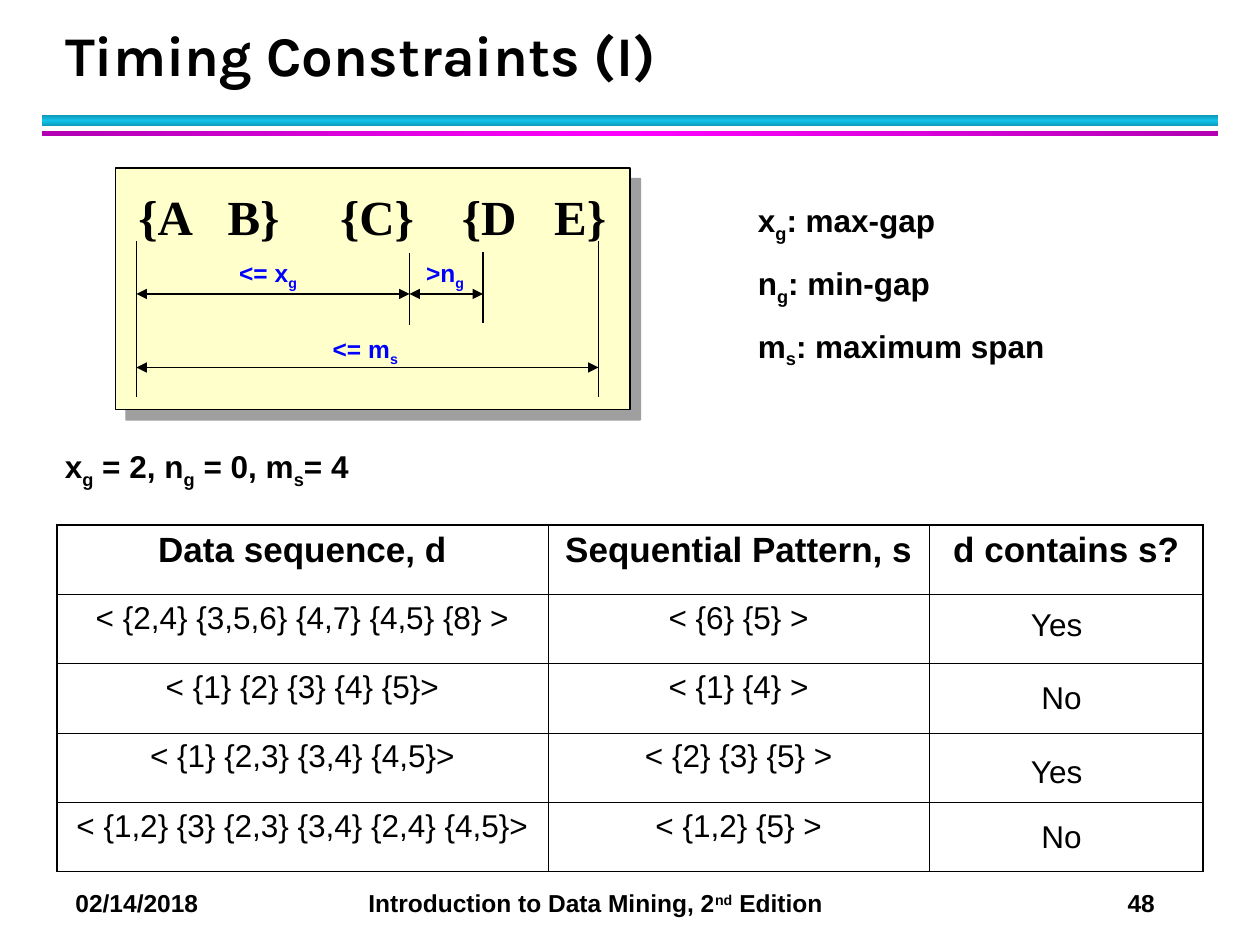
import copy
from dataclasses import dataclass

import lxml.etree
import pptx
import pptx.dml.color
import pptx.enum.dml
import pptx.enum.shapes
import pptx.enum.text
import pptx.oxml
import pptx.oxml.ns
import pptx.util

qn = pptx.oxml.ns.qn
RGBColor = pptx.dml.color.RGBColor
Alignment = pptx.enum.text.PP_ALIGN

BLACK = RGBColor(0, 0, 0)
BLUE = RGBColor(0, 0, 255)
CREAM = RGBColor(255, 255, 204)
CYAN_DARK, CYAN = RGBColor(0x0E, 0x9B, 0xBA), RGBColor(0x12, 0xC2, 0xE9)
MAGENTA_DARK, MAGENTA = RGBColor(0xB2, 0, 0xB2), RGBColor(255, 0, 255)

GRID_COLUMNS, GRID_ROWS = 120, 90
SHADOW = (
    f'<a:effectLst {pptx.oxml.ns.nsdecls("a")}>'
    '<a:outerShdw dist="107950" dir="2700000" algn="ctr" rotWithShape="0">'
    '<a:srgbClr val="808080"><a:alpha val="75000"/></a:srgbClr>'
    "</a:outerShdw></a:effectLst>"
)


@dataclass
class Area:
    """Place on the slide grid."""
    left: float
    top: float
    width: float
    height: float

    def lengths(self) -> list:
        return [grid(n) for n in (self.left, self.top, self.width, self.height)]


@dataclass
class Style:
    size: float = 18
    bold: bool = True
    color: RGBColor = BLACK
    font: str = "Arial"
    space_after: float = 0
    align: Alignment = Alignment.LEFT


@dataclass
class Label:
    """Text in which every second part between bars is shifted off the baseline."""
    area: Area
    lines: list
    style: Style
    tabs: tuple = ()
    shift: int = -25
    wrap: bool = True
    fill: RGBColor | None = None


@dataclass
class Line:
    start: tuple
    end: tuple
    arrows: bool = False


DIMENSION = Style(size=14, color=BLUE)
NOTE = Style(space_after=11.2)
ANSWER = Style(bold=False)

LABELS = [
    Label(Area(12, 17.2, 47.2, 6.8), ["{A\tB}\t{C}\t{D\tE}"],
          Style(size=28, font="Times New Roman"),
          tabs=(8.5, 19.2, 30.8, 39.6), fill=CREAM),
    Label(Area(30.5, 31.2, 8.6, 4.4), ["<= m|s"], DIMENSION, wrap=False, fill=CREAM),
    Label(Area(21.6, 24, 7.9, 4.4), ["<= x|g"], DIMENSION, wrap=False, fill=CREAM),
    Label(Area(39.4, 24, 6, 4.4), [">n|g"], DIMENSION, wrap=False, fill=CREAM),
    Label(Area(71, 18.6, 41, 18),
          ["x|g|: max-gap", "n|g|: min-gap", "m|s|: maximum span"], NOTE),
    Label(Area(5, 42, 103, 5.3), ["x|g| = 2, n|g| = 0, m|s|= 4"], NOTE),
    Label(Area(6, 84, 112, 4.1),
          ["02/14/2018\tIntroduction to Data Mining, 2|nd| Edition\t48"],
          Style(size=14), tabs=(27.9, 100.2), shift=30),
]
ANSWERS = [
    Label(Area(97, 57, 10, 4.8), ["Yes"], ANSWER),
    Label(Area(98, 64, 7, 4.8), ["No"], ANSWER),
    Label(Area(97, 71, 10, 4.8), ["Yes"], ANSWER),
    Label(Area(98, 77.2, 7, 4.8), ["No"], ANSWER),
]
LINES = [
    Line((13, 35), (57, 35), arrows=True),
    Line((13, 28), (39, 28), arrows=True),
    Line((39, 28), (46, 28), arrows=True),
    Line((13, 23), (13, 37.8)),
    Line((39, 24.1), (39, 31)),
    Line((46, 24), (46, 30.8)),
    Line((57, 23), (57, 37.8)),
]
TABLE_AREA = Area(5.4, 50, 109.2, 33)
COLUMN_WIDTHS = (46.8, 36.3, 26.1)
TABLE_ROWS = [
    ("Data sequence, d", "Sequential Pattern, s", "d contains s?"),
    ("< {2,4} {3,5,6} {4,7} {4,5} {8} >", "< {6} {5} >", ""),
    ("< {1} {2} {3} {4} {5}>", "< {1} {4} >", ""),
    ("< {1} {2,3} {3,4} {4,5}>", "< {2} {3} {5} >", ""),
    ("< {1,2} {3} {2,3} {3,4} {2,4} {4,5}>", "< {1,2} {5} >", ""),
]

presentation = pptx.Presentation()
presentation.slide_width = pptx.util.Inches(10)
presentation.slide_height = pptx.util.Inches(7.5)
UNIT = presentation.slide_width / GRID_COLUMNS
assert UNIT == presentation.slide_height / GRID_ROWS


def grid(steps: float) -> pptx.util.Length:
    return pptx.util.Emu(round(steps * UNIT))


def format_paragraph(paragraph, style: Style) -> None:
    paragraph.alignment = style.align
    paragraph.space_before = pptx.util.Pt(0)
    paragraph.space_after = pptx.util.Pt(style.space_after)
    font = paragraph.font
    font.size, font.bold, font.name = pptx.util.Pt(style.size), style.bold, style.font
    font.color.rgb = style.color


def add_label(slide, label: Label) -> None:
    shape = slide.shapes.add_textbox(*label.area.lengths())
    if label.fill is not None:
        shape.fill.solid()
        shape.fill.fore_color.rgb = label.fill
    frame = shape.text_frame
    frame.word_wrap = label.wrap
    for index, line in enumerate(label.lines):
        paragraph = frame.add_paragraph() if index else frame.paragraphs[0]
        if label.tabs:
            properties = paragraph._p.get_or_add_pPr()
            tab_list = lxml.etree.SubElement(properties, qn("a:tabLst"))
            for stop in label.tabs:
                lxml.etree.SubElement(tab_list, qn("a:tab"), pos=str(grid(stop)), algn="l")
        for part_index, part in enumerate(line.split("|")):
            run = paragraph.add_run()
            run.text = part
            if part_index % 2:
                run._r.get_or_add_rPr().set("baseline", str(label.shift * 1000))
        format_paragraph(paragraph, label.style)


def add_rectangle(slide, area: Area):
    shape = slide.shapes.add_shape(
        pptx.enum.shapes.MSO_SHAPE.RECTANGLE, *area.lengths())
    shape.shadow.inherit = False
    return shape


def add_bar(slide, area: Area, edge: RGBColor, middle: RGBColor, angle: int) -> None:
    shape = add_rectangle(slide, area)
    shape.line.fill.background()
    shape.fill.gradient()
    shape.fill.gradient_angle = angle
    stop_list = shape.element.spPr.find(".//" + qn("a:gsLst"))
    stop_list.append(copy.deepcopy(stop_list[0]))
    for stop, position, color in zip(
            shape.fill.gradient_stops, (0, 0.5, 1), (edge, middle, edge)):
        stop.position = position
        stop.color.rgb = color


def add_diagram_box(slide) -> None:
    shape = add_rectangle(slide, Area(11, 16, 49, 23))
    shape.fill.solid()
    shape.fill.fore_color.rgb = CREAM
    shape.line.color.rgb = BLACK
    shape.line.width = pptx.util.Pt(0.75)
    properties = shape.element.spPr
    properties.replace(properties.find(qn("a:effectLst")), pptx.oxml.parse_xml(SHADOW))


def add_line(slide, line: Line) -> None:
    connector = slide.shapes.add_connector(
        pptx.enum.shapes.MSO_CONNECTOR.STRAIGHT,
        *(grid(n) for n in line.start + line.end))
    connector.line.color.rgb = BLACK
    connector.line.width = pptx.util.Pt(0.75)
    if line.arrows:
        outline = connector.line._get_or_add_ln()
        for end in ("a:headEnd", "a:tailEnd"):
            lxml.etree.SubElement(outline, qn(end), type="triangle")
    lxml.etree.SubElement(connector.element.spPr, qn("a:effectLst"))


def set_borders(cell, outer_sides: dict) -> None:
    """Draw outer sides thick and inner sides thin."""
    properties = cell._tc.get_or_add_tcPr()
    for index, (side, is_outer) in enumerate(outer_sides.items()):
        width = pptx.util.Pt(1.08 if is_outer else 0.45)
        properties.insert(index, pptx.oxml.parse_xml(
            f'<a:ln{side} {pptx.oxml.ns.nsdecls("a")} w="{width}"><a:solidFill>'
            f'<a:srgbClr val="{BLACK}"/></a:solidFill></a:ln{side}>'))


def add_sequence_table(slide) -> None:
    last_row, last_column = len(TABLE_ROWS) - 1, len(COLUMN_WIDTHS) - 1
    table = slide.shapes.add_table(
        last_row + 1, last_column + 1, *TABLE_AREA.lengths()).table
    table.first_row = table.horz_banding = False
    for column, width in zip(table.columns, COLUMN_WIDTHS):
        column.width = grid(width)
    for r, texts in enumerate(TABLE_ROWS):
        style = Style(size=18 if r else 20, bold=r == 0, space_after=4,
                      align=Alignment.CENTER)
        for c, text in enumerate(texts):
            cell = table.cell(r, c)
            cell.fill.background()
            cell.text = text
            format_paragraph(cell.text_frame.paragraphs[0], style)
            set_borders(cell, {"L": c == 0, "R": c == last_column,
                               "T": r == 0, "B": r == last_row})


def set_title(slide) -> None:
    title = slide.shapes.title
    title.left, title.top, title.width, title.height = Area(5, 2, 108.7, 7).lengths()
    frame = title.text_frame
    frame.text = "Timing Constraints (I)"
    frame.auto_size = pptx.enum.text.MSO_AUTO_SIZE.NONE
    frame.vertical_anchor = pptx.enum.text.MSO_ANCHOR.BOTTOM
    frame.paragraphs[0].line_spacing = pptx.util.Pt(36)
    format_paragraph(frame.paragraphs[0], Style(size=32, font="Karla"))


def main() -> None:
    slide = presentation.slides.add_slide(presentation.slide_layouts[5])
    add_bar(slide, Area(4, 11, 112, 1), CYAN_DARK, CYAN, 90)
    add_bar(slide, Area(4, 12.5, 112, 0.5), MAGENTA_DARK, MAGENTA, 0)
    set_title(slide)
    add_diagram_box(slide)
    for label in LABELS:
        add_label(slide, label)
    for line in LINES:
        add_line(slide, line)
    add_sequence_table(slide)
    for answer in ANSWERS:
        add_label(slide, answer)
    presentation.save("out.pptx")


if __name__ == "__main__":
    main()
